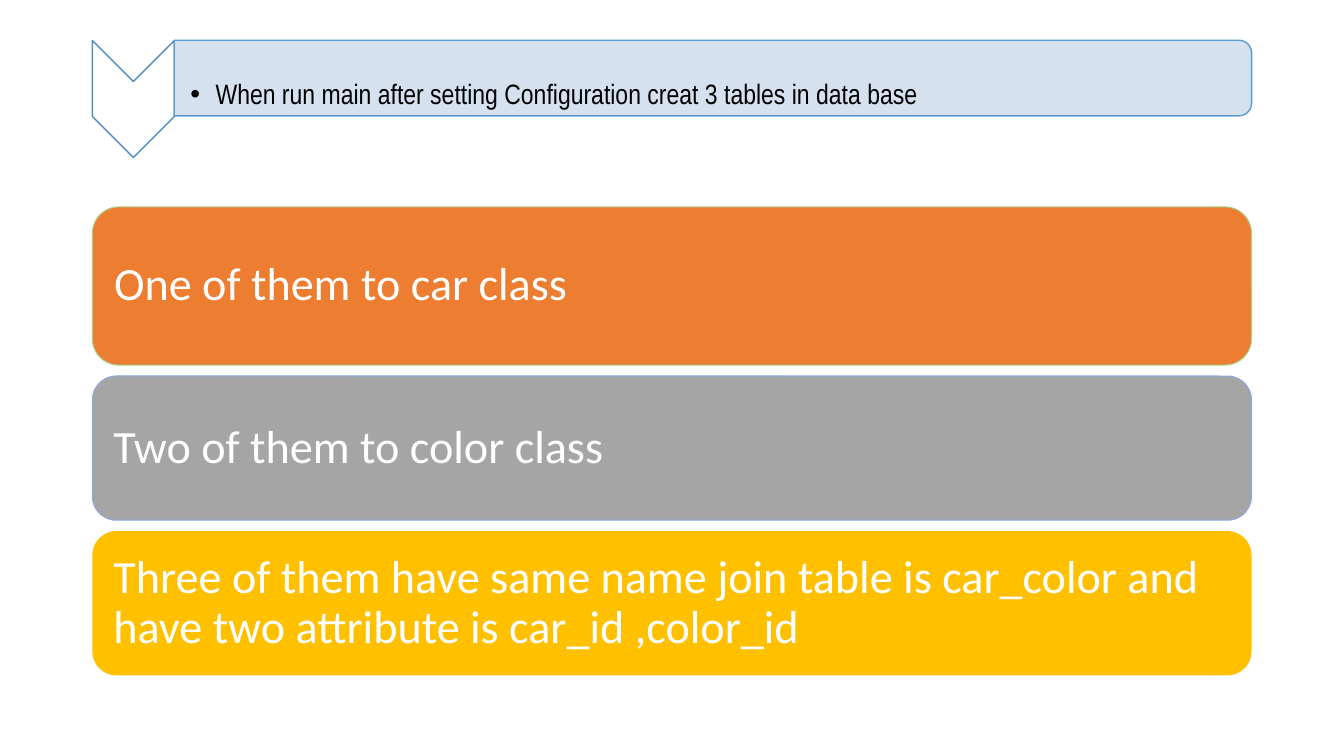
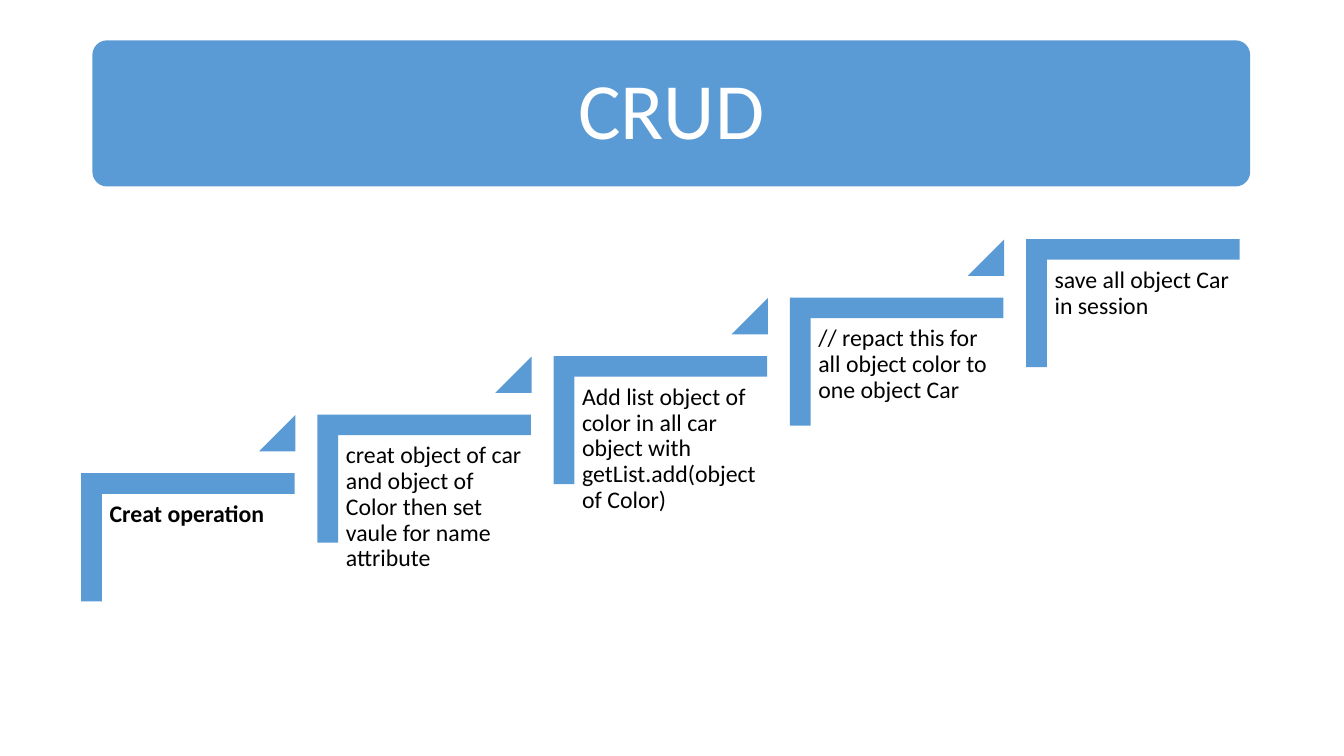
from lxml import etree
from pptx import Presentation
from pptx.dml.color import RGBColor
from pptx.enum import shapes, text
from pptx.oxml import ns
from pptx.util import Pt

COLORS = {
    "white": "FFFFFF", "black": "000000", "blue": "5B9BD5", "pale": "D2DEEF",
    "edge": "538DC1", "orange": "ED7D31", "gray": "A5A5A5", "gold": "FFC000",
    "green_edge": "A9D18E", "blue_edge": "8FAADC",
}
KIND = shapes.MSO_SHAPE
MIDDLE, TOP = text.MSO_ANCHOR.MIDDLE, text.MSO_ANCHOR.TOP
LEFT, CENTER = text.PP_ALIGN.LEFT, text.PP_ALIGN.CENTER
MARGIN_X = 66


def add_block(page, kind, bounds, fill, line=None, width=1, rotation=0, adjust=()):
    shape = page.shapes.add_shape(kind, *map(Pt, bounds))
    shape.shadow.inherit = False
    shape.rotation = rotation
    shape.fill.solid()
    shape.fill.fore_color.rgb = RGBColor.from_string(COLORS[fill])
    if line:
        shape.line.color.rgb = RGBColor.from_string(COLORS[line])
        shape.line.width = Pt(width)
    else:
        shape.line.fill.background()
    for index, value in enumerate(adjust):
        shape.adjustments[index] = value
    return shape


def write(box, words, size, color, margin, anchor=MIDDLE, align=LEFT, font="Calibri", bold=False):
    frame = box.text_frame
    settings = {"word_wrap": True, "vertical_anchor": anchor}
    for side in ("left", "top", "right", "bottom"):
        settings["margin_" + side] = Pt(margin)
    for name, value in settings.items():
        setattr(frame, name, value)
    para = frame.paragraphs[0]
    para.alignment, para.line_spacing = align, 0.9
    span = para.add_run()
    span.text = words
    for name, value in {"name": font, "size": Pt(size), "bold": bold}.items():
        setattr(span.font, name, value)
    span.font.color.rgb = RGBColor.from_string(COLORS[color])
    return para


deck = Presentation()
deck.slide_width, deck.slide_height = Pt(960), Pt(540)
blank = deck.slide_layouts[6]

page = deck.slides.add_slide(blank)
add_block(page, KIND.CHEVRON, (53.5, 41.5, 83.5, 58.5), "white", "edge", rotation=90)
band = add_block(page, KIND.ROUND_2_SAME_RECTANGLE, (482.25, -329, 54, 769.5),
                 "pale", "blue", rotation=90)
tint = band.fill._xPr.find(".//" + ns.qn("a:srgbClr"))
etree.SubElement(tint, ns.qn("a:alpha"), val="90000")

box = page.shapes.add_textbox(Pt(124.5), Pt(44), Pt(767), Pt(48))
para = write(box, "When run main after setting Configuration creat 3 tables in data base",
             20, "black", 1, font="Arial Narrow")
box.text_frame.margin_left = Pt(11.5)
properties = para._p.get_or_add_pPr()
properties.set("marL", str(Pt(18)))
properties.set("indent", str(Pt(-18)))
etree.SubElement(properties, ns.qn("a:buFont"), typeface="Arial")
etree.SubElement(properties, ns.qn("a:buChar"), char="•")

bars = [
    ("One of them to car class", 113, "orange", "green_edge"),
    ("Two of them to color class", 103, "gray", "blue_edge"),
    ("Three of them have same name join table is car_color and have two attribute"
     " is car_id ,color_id", 103, "gold", None),
]
top = 147.8
for words, height, fill, line in bars:
    bar = add_block(page, KIND.ROUNDED_RECTANGLE, (MARGIN_X, top, 828, height), fill, line, 0.75)
    write(bar, words, 33, "white", 10)
    top += height + 7.8

page = deck.slides.add_slide(blank)
title = add_block(page, KIND.ROUNDED_RECTANGLE, (MARGIN_X, 28.8, 827, 104.4), "blue", adjust=(0.1,))
write(title, "CRUD", 57, "white", 17, align=CENTER)

steps = [
    "Creat operation",
    "creat object of car and object of Color then set vaule for name attribute",
    "Add list object of color in all car object with getList.add(object of Color)",
    "// repact this for all object color to one object Car",
    "save all object Car in session",
]
for index, words in enumerate(steps):
    left, top = 58 + 168.75 * index, 338 - 41.8 * index
    add_block(page, KIND.CORNER, (left + 30.5, top - 30.5, 91.5, 152.5), "blue",
              rotation=90, adjust=(0.161, 0.161))
    box = page.shapes.add_textbox(Pt(left + 15.3), Pt(top + 15.5), Pt(137.5), Pt(121))
    write(box, words, 17, "black", 5, anchor=TOP, bold=index == 0)
    if index < len(steps) - 1:
        add_block(page, KIND.ISOSCELES_TRIANGLE, (left + 127, top - 41.5, 26, 26), "blue", adjust=(1,))

deck.save("out.pptx")
